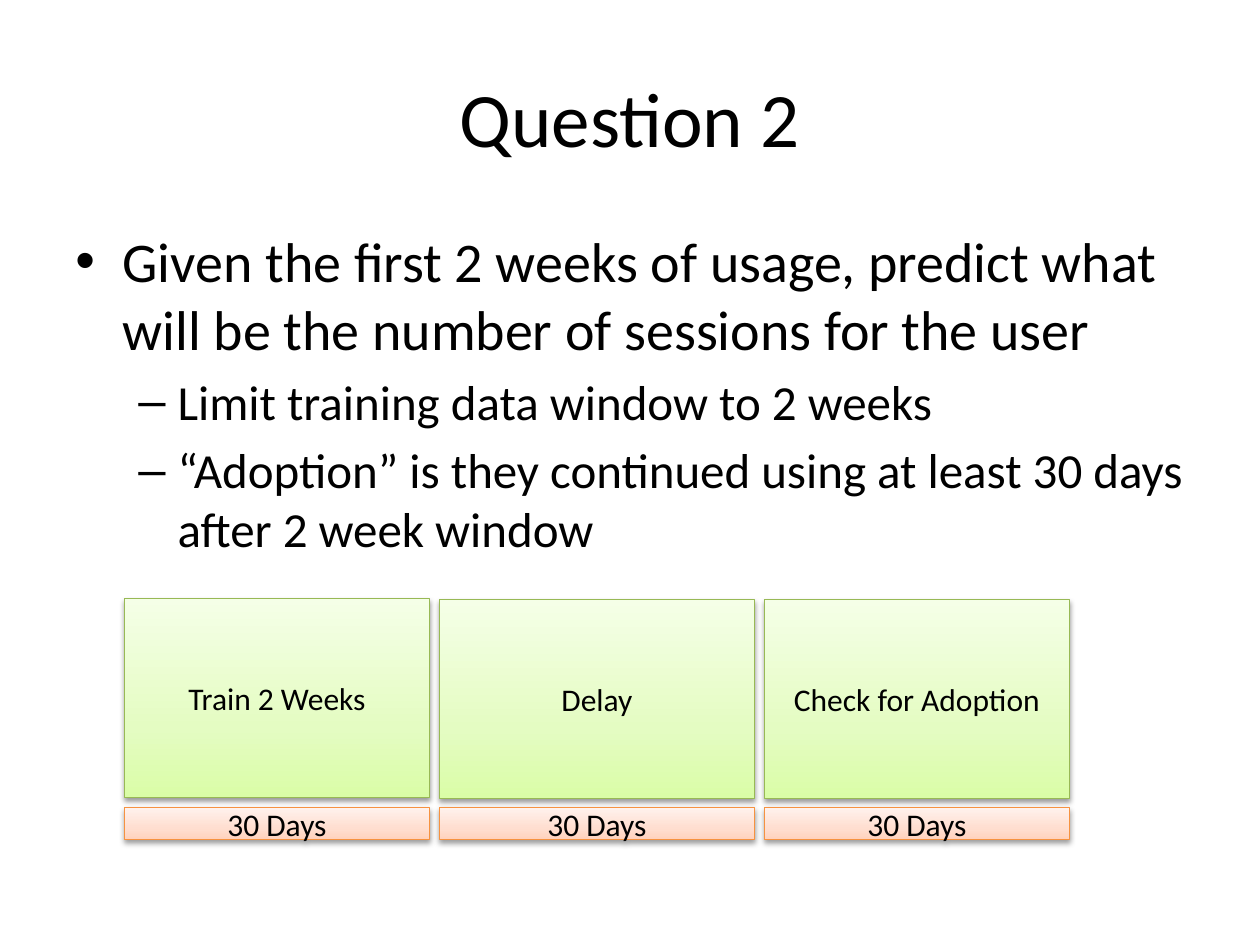
from pptx import Presentation
from pptx.dml.color import RGBColor
from pptx.enum.shapes import MSO_SHAPE as SHAPE
from pptx.enum.text import MSO_ANCHOR as ANCHOR, PP_ALIGN as ALIGN
from pptx.oxml import parse_xml
from pptx.util import Cm, Pt

NS = 'xmlns:a="http://schemas.openxmlformats.org/drawingml/2006/main"'
COLORS = {"text": "000000", "shadow": "000000",
          "green_line": "98B955", "orange_line": "F69240"}
GRADIENTS = {"green": ("DAFDA7", "E4FCC2", "F5FFE7"),
             "orange": ("FFD2BD", "FFDED0", "FFF2ED")}
STOPS = (0, 35000, 100000)

# Level: font size, left margin and hanging indent in cm, bullet
LEVELS = [(32, 0.95, 0.95, "•"), (28, 2.06, 0.79, "–")]
BULLETS = [
    (0, "Given the first 2 weeks of usage, predict what will be "
        "the number of sessions for the user"),
    (1, "Limit training data window to 2 weeks"),
    (1, "“Adoption” is they continued using at least 30 days after 2 week window"),
]
# Phase: label, duration, width and top offset in cm
PHASES = [("Train 2 Weeks", "30 Days", 6.15, 0),
          ("Delay", "30 Days", 6.35, 0.02),
          ("Check for Adoption", "30 Days", 6.15, 0.02)]


def add_run(p, text, size):
    r = p.add_run()
    r.text = text
    for name, value in {"name": "Calibri", "size": Pt(size)}.items():
        setattr(r.font, name, value)
    r.font.color.rgb = RGBColor.from_string(COLORS["text"])


def add_textbox(slide, box, anchor):
    tf = slide.shapes.add_textbox(*map(Cm, box)).text_frame
    for name, value in {"word_wrap": True, "vertical_anchor": anchor}.items():
        setattr(tf, name, value)
    return tf


def add_title(slide, box, text):
    p = add_textbox(slide, box, ANCHOR.MIDDLE).paragraphs[0]
    p.alignment = ALIGN.CENTER
    add_run(p, text, 44)


def add_bullets(slide, box, items):
    tf = add_textbox(slide, box, ANCHOR.TOP)
    for i, (level, text) in enumerate(items):
        p = tf.paragraphs[0] if i == 0 else tf.add_paragraph()
        size, margin, hang, char = LEVELS[level]
        p.level = level
        add_run(p, text, size)
        pPr = p._p.get_or_add_pPr()
        pPr.set("marL", str(Cm(margin)))
        pPr.set("indent", str(-Cm(hang)))
        for xml in (f'<a:spcBef {NS}><a:spcPct val="20000"/></a:spcBef>',
                    f'<a:buFont {NS} typeface="Arial"/>',
                    f'<a:buChar {NS} char="{char}"/>'):
            pPr.append(parse_xml(xml))


def add_block(slide, box, text, hue):
    sp = slide.shapes.add_shape(SHAPE.RECTANGLE, *map(Cm, box))
    # Gradient running upwards, thin outline, soft shadow below
    stops = "".join(f'<a:gs pos="{pos}"><a:srgbClr val="{color}"/></a:gs>'
                    for pos, color in zip(STOPS, GRADIENTS[hue]))
    spPr = sp._element.spPr
    spPr.append(parse_xml(
        f'<a:gradFill {NS} rotWithShape="1"><a:gsLst>{stops}</a:gsLst>'
        '<a:lin ang="16200000" scaled="0"/></a:gradFill>'))
    sp.line.color.rgb = RGBColor.from_string(COLORS[hue + "_line"])
    sp.line.width = Pt(0.75)
    spPr.append(parse_xml(
        f'<a:effectLst {NS}><a:outerShdw blurRad="40000" dist="20000" '
        f'dir="5400000" rotWithShape="0"><a:srgbClr val="{COLORS["shadow"]}">'
        '<a:alpha val="38000"/></a:srgbClr></a:outerShdw></a:effectLst>'))
    # Centred label
    tf = sp.text_frame
    for name, value in {"word_wrap": True, "vertical_anchor": ANCHOR.MIDDLE}.items():
        setattr(tf, name, value)
    p = tf.paragraphs[0]
    p.alignment = ALIGN.CENTER
    add_run(p, text, 18)


def add_timeline(slide, box, phases):
    left, top, _, height = box
    gap, block_h, strip_h = 0.2, 4.01, 0.64
    for label, duration, width, offset in phases:
        add_block(slide, (left, top + offset, width, block_h), label, "green")
        add_block(slide, (left, top + height - strip_h, width, strip_h),
                  duration, "orange")
        left += width + gap


def main():
    prs = Presentation()
    prs.slide_width, prs.slide_height = Cm(25.4), Cm(19.05)
    slide = prs.slides.add_slide(prs.slide_layouts[6])
    add_title(slide, (1.27, 0.76, 22.86, 3.18), "Question 2")
    add_bullets(slide, (1.27, 4.45, 22.86, 12.57), BULLETS)
    add_timeline(slide, (2.51, 12.07, 19.05, 4.85), PHASES)
    prs.save("out.pptx")


if __name__ == "__main__":
    main()
